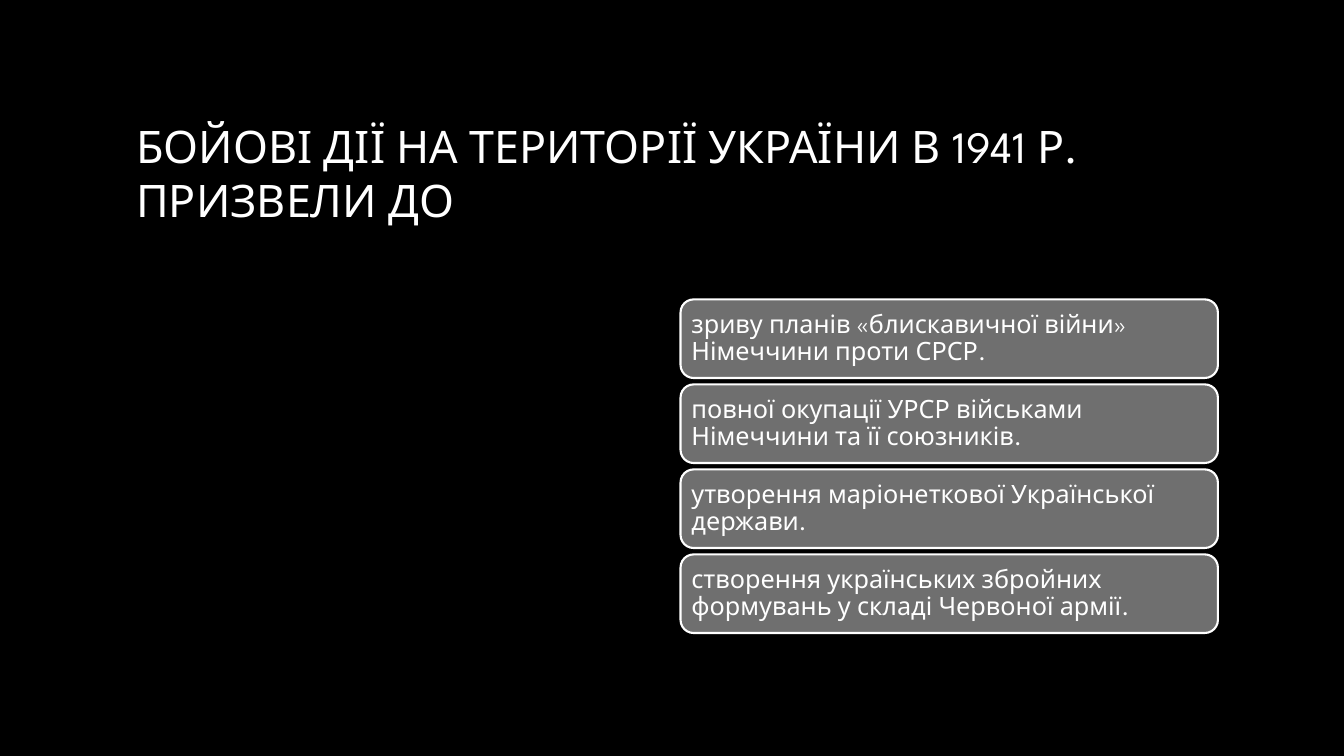
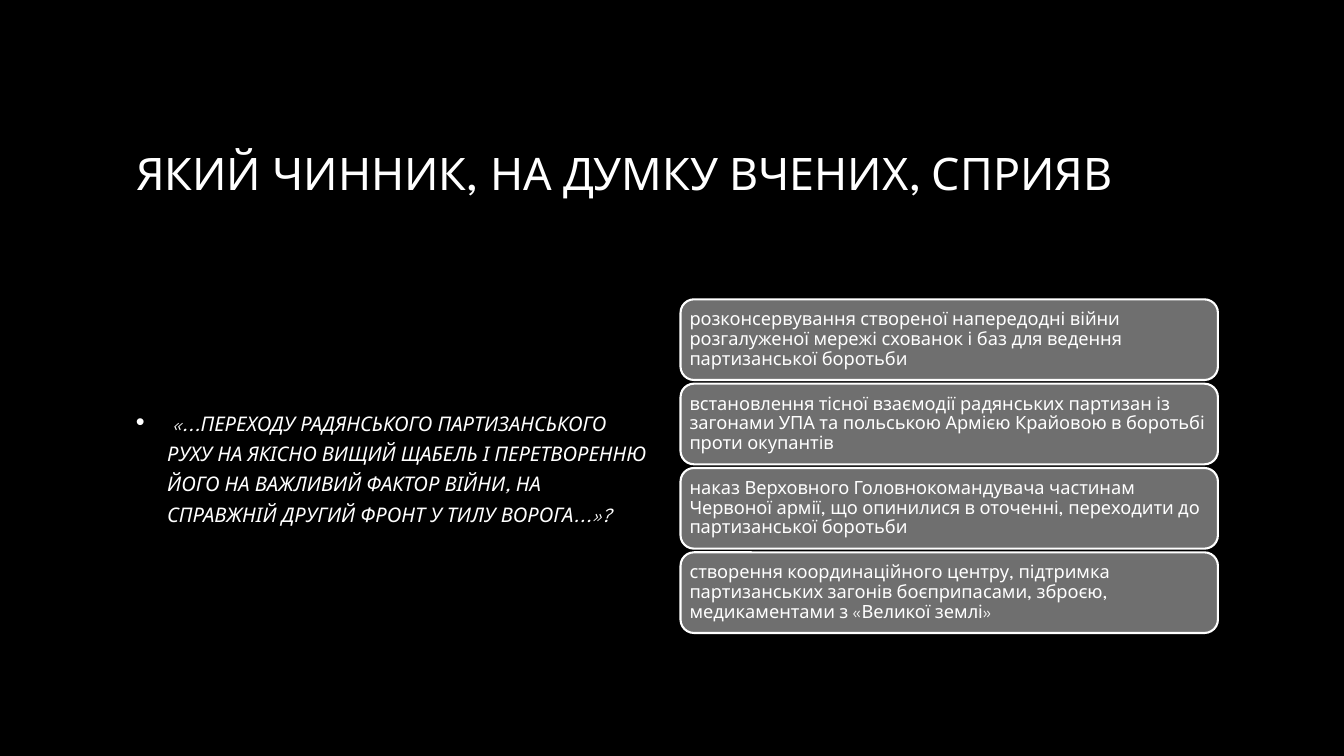
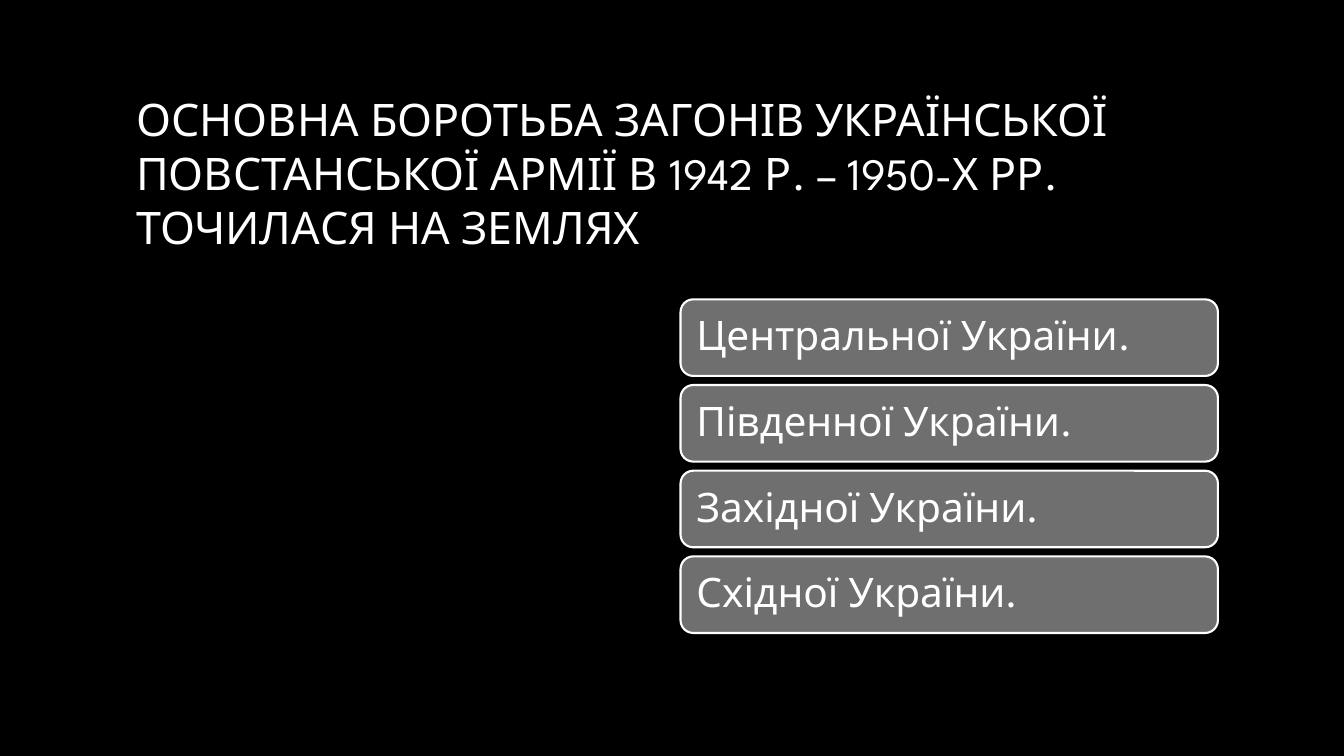
from dataclasses import dataclass

from lxml.etree import SubElement
from pptx import Presentation
from pptx.dml.color import RGBColor
from pptx.enum.shapes import MSO_SHAPE
from pptx.enum.text import MSO_ANCHOR, MSO_AUTO_SIZE, PP_ALIGN
from pptx.oxml.ns import qn
from pptx.util import Inches, Pt


@dataclass(frozen=True)
class Theme:
    font: str = "League Spartan"
    background: RGBColor = RGBColor(0x00, 0x00, 0x00)
    text: RGBColor = RGBColor(0xFF, 0xFF, 0xFF)
    card: RGBColor = RGBColor(0x6F, 0x6F, 0x6F)
    title_size: int = 32
    body_size: int = 18
    card_line: float = 1.5


@dataclass(frozen=True)
class Box:
    left: float
    top: float
    width: float
    height: float

    def emu(self):
        return [Inches(value) for value in (self.left, self.top, self.width, self.height)]


@dataclass(frozen=True)
class CardStyle:
    height: float
    size: int
    margin: float


THEME = Theme()
TITLE_BOX = Box(1.25, 0.67, 10.83, 2.08)
PROMPT_BOX = Box(1.25, 2.92, 5.33, 3.42)
CARDS_BOX = Box(6.75, 2.97, 5.33, 3.31)
BULLET_INDENT = 0.31

QUESTIONS = [
    {
        "title": "БОЙОВІ ДІЇ НА ТЕРИТОРІЇ УКРАЇНИ В 1941 Р. ПРИЗВЕЛИ ДО",
        "style": CardStyle(height=0.78, size=18, margin=0.07),
        "answers": [
            "зриву планів «блискавичної війни» Німеччини проти СРСР.",
            "повної окупації УРСР військами Німеччини та її союзників.",
            "утворення маріонеткової Української держави.",
            "створення українських збройних формувань у складі Червоної армії.",
        ],
    },
    {
        "title": "ЯКИЙ ЧИННИК, НА ДУМКУ ВЧЕНИХ, СПРИЯВ",
        "prompt": " «...переходу радянського партизанського руху на якісно вищий щабель "
                  "і перетворенню його на важливий фактор війни, на справжній другий "
                  "фронт у тилу ворога...»?",
        "style": CardStyle(height=0.8, size=13, margin=0.05),
        "answers": [
            "розконсервування створеної напередодні війни розгалуженої мережі "
            "схованок і баз для ведення партизанської боротьби",
            "встановлення тісної взаємодії радянських партизан із загонами УПА "
            "та польською Армією Крайовою в боротьбі проти окупантів",
            "наказ Верховного Головнокомандувача частинам Червоної армії, "
            "що опинилися в оточенні, переходити до партизанської боротьби",
            "створення координаційного центру, підтримка партизанських загонів "
            "боєприпасами, зброєю, медикаментами з «Великої землі»",
        ],
    },
    {
        "title": "ОСНОВНА БОРОТЬБА ЗАГОНІВ УКРАЇНСЬКОЇ ПОВСТАНСЬКОЇ АРМІЇ "
                 "В 1942 Р. – 1950-Х РР. ТОЧИЛАСЯ НА ЗЕМЛЯХ",
        "style": CardStyle(height=0.76, size=29, margin=0.12),
        "answers": [
            "Центральної України.",
            "Південної України.",
            "Західної України.",
            "Східної України.",
        ],
    },
]


def write_text(shape, text, size, line_spacing=1.0):
    """Fill the shape with one left-aligned, vertically centred paragraph."""
    frame = shape.text_frame
    frame.word_wrap = True
    frame.auto_size = MSO_AUTO_SIZE.NONE
    frame.vertical_anchor = MSO_ANCHOR.MIDDLE
    frame.text = text
    paragraph = frame.paragraphs[0]
    paragraph.alignment = PP_ALIGN.LEFT
    paragraph.line_spacing = line_spacing
    paragraph.font.name = THEME.font
    paragraph.font.size = Pt(size)
    paragraph.font.color.rgb = THEME.text
    return paragraph


def add_title(slide, box, text):
    title = slide.shapes.title
    title.left, title.top, title.width, title.height = box.emu()
    write_text(title, text, THEME.title_size)


def add_bullet(paragraph, indent):
    properties = paragraph._p.get_or_add_pPr()
    properties.set("marL", str(Inches(indent)))
    properties.set("indent", str(-Inches(indent)))
    bullet_font = SubElement(properties, qn("a:buFont"))
    bullet_font.set("typeface", "Arial")
    bullet = SubElement(properties, qn("a:buChar"))
    bullet.set("char", "•")
    defaults = properties.find(qn("a:defRPr"))
    properties.append(defaults)


def add_prompt(slide, box, text):
    """Add the bulleted quotation in italic small capitals."""
    prompt = slide.shapes.add_textbox(*box.emu())
    paragraph = write_text(prompt, text, THEME.body_size)
    add_bullet(paragraph, BULLET_INDENT)
    paragraph.font.italic = True
    paragraph.runs[0]._r.get_or_add_rPr().set("cap", "small")


def add_answer_cards(slide, box, answers, style):
    """Spread the cards evenly from the top to the bottom of the box."""
    pitch = (box.height - style.height) / (len(answers) - 1)
    for row, answer in enumerate(answers):
        card_box = Box(box.left, box.top + row * pitch, box.width, style.height)
        card = slide.shapes.add_shape(MSO_SHAPE.ROUNDED_RECTANGLE, *card_box.emu())
        card.shadow.inherit = False
        card.fill.solid()
        card.fill.fore_color.rgb = THEME.card
        card.line.color.rgb = THEME.text
        card.line.width = Pt(THEME.card_line)
        frame = card.text_frame
        frame.margin_left = frame.margin_right = Inches(style.margin)
        frame.margin_top = frame.margin_bottom = Inches(style.margin)
        write_text(card, answer, style.size, line_spacing=0.9)


def add_question_slide(presentation, question):
    title_only = presentation.slide_layouts.get_by_name("Title Only")
    slide = presentation.slides.add_slide(title_only)
    add_title(slide, TITLE_BOX, question["title"])
    if "prompt" in question:
        add_prompt(slide, PROMPT_BOX, question["prompt"])
    add_answer_cards(slide, CARDS_BOX, question["answers"], question["style"])


def main():
    presentation = Presentation()
    presentation.slide_width = Inches(13.33)
    presentation.slide_height = Inches(7.5)
    background = presentation.slide_master.background.fill
    background.solid()
    background.fore_color.rgb = THEME.background
    for question in QUESTIONS:
        add_question_slide(presentation, question)
    presentation.save("out.pptx")


if __name__ == "__main__":
    main()
